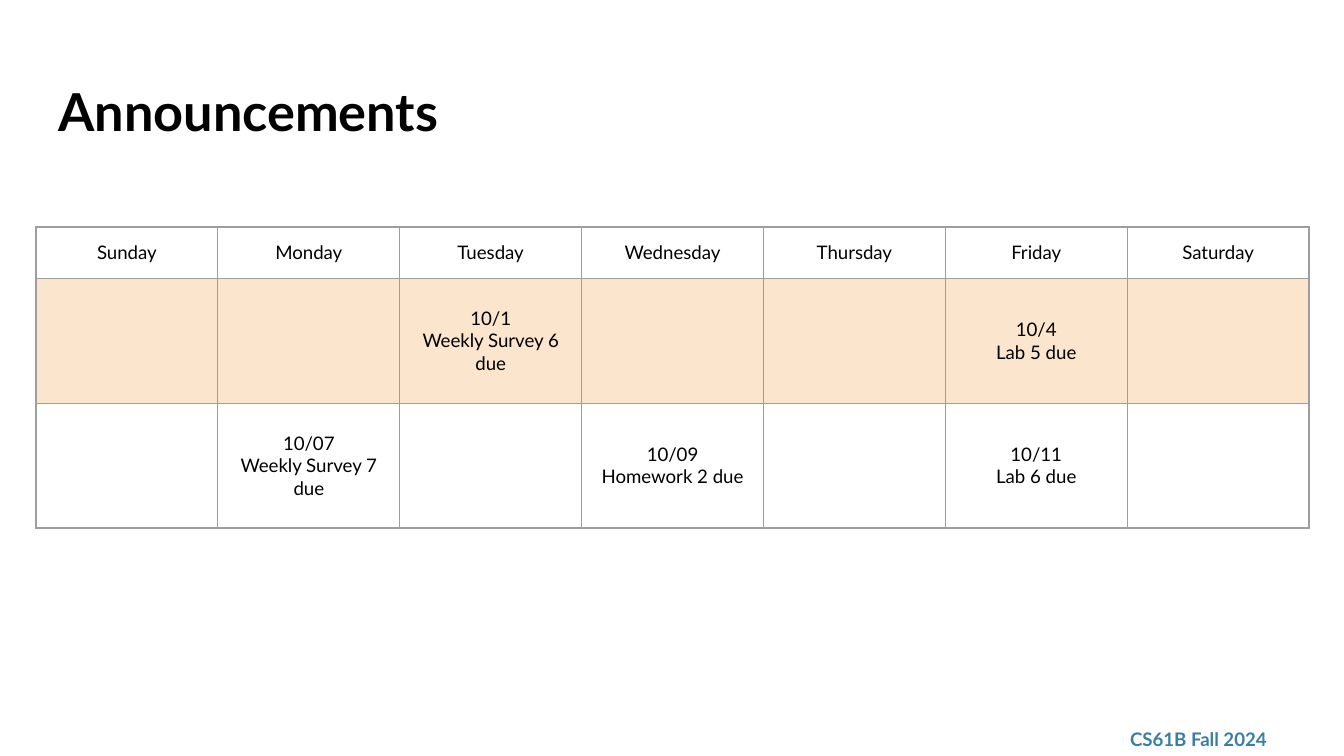
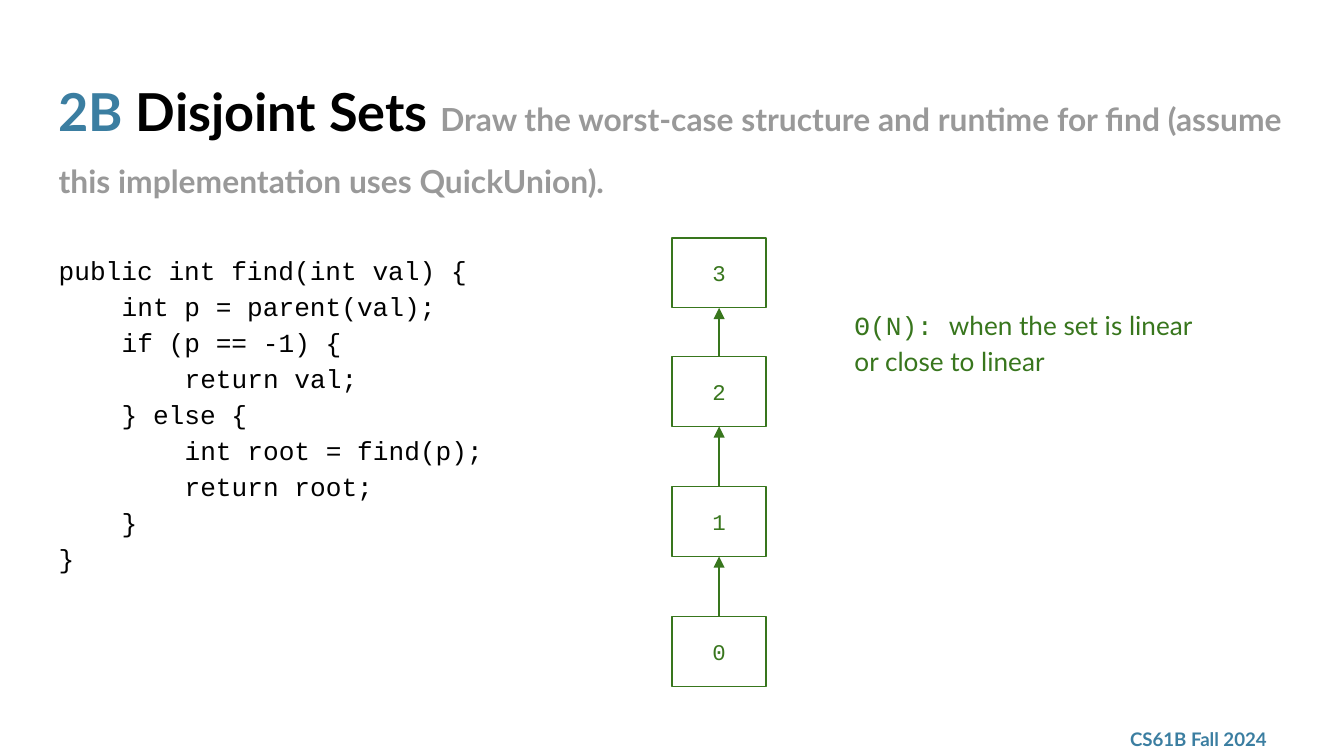
import pptx
import pptx.dml.color
import pptx.enum.shapes
import pptx.enum.text
import pptx.oxml.ns
import pptx.util
from lxml import etree

Cm = pptx.util.Cm
Pt = pptx.util.Pt
RGBColor = pptx.dml.color.RGBColor
CENTER = pptx.enum.text.PP_ALIGN.CENTER
MIDDLE = pptx.enum.text.MSO_ANCHOR.MIDDLE

BLACK = RGBColor(0x00, 0x00, 0x00)
WHITE = RGBColor(0xFF, 0xFF, 0xFF)
BLUE = RGBColor(0x3B, 0x7E, 0xA1)
GREEN = RGBColor(0x38, 0x76, 0x1D)
GRAY = RGBColor(0x99, 0x99, 0x99)
BORDER = RGBColor(0x9E, 0x9E, 0x9E)
PEACH = RGBColor(0xFC, 0xE5, 0xCD)

SANS = "Lato"
MONO = "Courier New"
LINE_WIDTH = Pt(0.75)
INSET = 0.25
CODE_INDENT = 1.19  # four characters of 14 pt code

# Boxes are left, top, width, height in centimetres
TITLE_BOX = (0.86, 1.24, 23.67, 1.6)
FOOTER_BOX = (21.11, 13.64, 3.43, 0.66)
CALENDAR_BOX = (0.68, 4.29, 24.06, 5.69)
CODE_BOX = (0.86, 4.47, 23.67, 9.5)
ANSWER_BOX = (15.9, 5.51, 7.34, 2.49)
CHAIN_BOX = (12.7, 4.5, 1.78, 8.48)

HEADER_HEIGHT = 0.97
WEEKDAYS = ["Sunday", "Monday", "Tuesday", "Wednesday",
            "Thursday", "Friday", "Saturday"]
WEEKS = [
    {"Tuesday": "10/1\nWeekly Survey 6 due", "Friday": "10/4\nLab 5 due"},
    {"Monday": "10/07\nWeekly Survey 7 due",
     "Wednesday": "10/09\nHomework 2 due", "Friday": "10/11\nLab 6 due"},
]

# Indent level and text of each line of code
CODE = [
    (0, "public int find(int val) {"),
    (1, "int p = parent(val);"),
    (1, "if (p == -1) {"),
    (2, "return val;"),
    (1, "} else {"),
    (2, "int root = find(p);"),
    (2, "return root;"),
    (1, "}"),
    (0, "}"),
]

NODE_HEIGHT = 1.32
NODES = [("3", 0), ("2", 2.24), ("1", 4.7), ("0", 7.16)]  # label, offset


def style_span(span, size, color, font=SANS, bold=False):
    span.font.name = font
    span.font.size = Pt(size)
    span.font.color.rgb = color
    span.font.bold = bold


def set_insets(frame):
    frame.word_wrap = True
    frame.margin_left = frame.margin_right = Cm(INSET)
    frame.margin_top = frame.margin_bottom = Cm(INSET)


def add_text(page, box, spans, line_spacing=1.0):
    """Add a text box with one paragraph of (text, style) spans."""
    frame = page.shapes.add_textbox(*map(Cm, box)).text_frame
    set_insets(frame)
    para = frame.paragraphs[0]
    para.line_spacing = line_spacing
    for text, style in spans:
        span = para.add_run()
        span.text = text
        style_span(span, **style)
    return frame


def add_page(deck, title_spans):
    """Add a page with the shared footer and title."""
    page = deck.slides.add_slide(deck.slide_layouts[6])
    footer = add_text(page, FOOTER_BOX, [
        ("CS61B Fall 2024", dict(size=10, color=BLUE, bold=True))])
    footer.vertical_anchor = MIDDLE
    add_text(page, TITLE_BOX, [
        (text, dict(size=size, color=color, bold=True))
        for text, size, color in title_spans])
    return page


def add_borders(cell):
    properties = cell._tc.get_or_add_tcPr()
    qn = pptx.oxml.ns.qn
    for side in ("a:lnL", "a:lnR", "a:lnT", "a:lnB"):
        line = etree.SubElement(properties, qn(side), w=str(int(LINE_WIDTH)))
        fill = etree.SubElement(line, qn("a:solidFill"))
        etree.SubElement(fill, qn("a:srgbClr"), val=str(BORDER))


def fill_cell(cell, text, fill):
    add_borders(cell)
    if fill is None:
        cell.fill.background()
    else:
        cell.fill.solid()
        cell.fill.fore_color.rgb = fill
    cell.vertical_anchor = MIDDLE
    cell.margin_left = cell.margin_right = Cm(0.13)
    cell.margin_top = cell.margin_bottom = Cm(0.13)
    cell.text_frame.text = text
    for para in cell.text_frame.paragraphs:
        para.alignment = CENTER
        for span in para.runs:
            style_span(span, 10, BLACK)


def add_calendar(page, box):
    left, top, width, height = box
    frame = page.shapes.add_table(len(WEEKS) + 1, len(WEEKDAYS),
                                  *map(Cm, box))
    table = frame.table
    table.first_row = table.horz_banding = False
    for column in table.columns:
        column.width = Cm(width / len(WEEKDAYS))
    week_height = (height - HEADER_HEIGHT) / len(WEEKS)
    heights = [HEADER_HEIGHT] + [week_height] * len(WEEKS)
    for row, row_height in zip(table.rows, heights):
        row.height = Cm(row_height)

    texts = [WEEKDAYS] + [[week.get(day, "") for day in WEEKDAYS]
                          for week in WEEKS]
    for row, (row_texts, fill) in enumerate(zip(texts, [None, PEACH, None])):
        for column, text in enumerate(row_texts):
            fill_cell(table.cell(row, column), text, fill)


def add_code(page, box):
    frame = page.shapes.add_textbox(*map(Cm, box)).text_frame
    set_insets(frame)
    frame.text = "\n".join(text for level, text in CODE)
    for para, (level, text) in zip(frame.paragraphs, CODE):
        para.line_spacing = 1.15
        para._p.get_or_add_pPr().set("marL", str(Cm(CODE_INDENT * level)))
        style_span(para.runs[0], 14, BLACK, MONO)


def add_node(page, box, label):
    node = page.shapes.add_shape(
        pptx.enum.shapes.MSO_SHAPE.RECTANGLE, *map(Cm, box))
    node.shadow.inherit = False
    node.fill.solid()
    node.fill.fore_color.rgb = WHITE
    node.line.color.rgb = GREEN
    node.line.width = LINE_WIDTH
    frame = node.text_frame
    set_insets(frame)
    frame.vertical_anchor = MIDDLE
    frame.text = label
    frame.paragraphs[0].alignment = CENTER
    style_span(frame.paragraphs[0].runs[0], 12, GREEN, MONO)
    return node


def add_arrow(page, child, parent):
    """Point from the top of the child to the bottom of its parent."""
    arrow = page.shapes.add_connector(
        pptx.enum.shapes.MSO_CONNECTOR.STRAIGHT, 0, 0, 0, 0)
    arrow.begin_connect(child, 0)
    arrow.end_connect(parent, 2)
    arrow.line.color.rgb = GREEN
    arrow.line.width = LINE_WIDTH
    qn = pptx.oxml.ns.qn
    etree.SubElement(arrow.line._get_or_add_ln(), qn("a:tailEnd"),
                     type="triangle")
    etree.SubElement(arrow._element.spPr, qn("a:effectLst"))


def add_chain(page, box):
    left, top, width, height = box
    nodes = [add_node(page, (left, top + offset, width, NODE_HEIGHT), label)
             for label, offset in NODES]
    for parent, child in zip(nodes, nodes[1:]):
        add_arrow(page, child, parent)


def build_announcements(deck):
    page = add_page(deck, [("Announcements", 28, BLACK)])
    add_calendar(page, CALENDAR_BOX)


def build_disjoint_sets(deck):
    page = add_page(deck, [
        ("2B ", 28, BLUE),
        ("Disjoint Sets ", 28, BLACK),
        ("Draw the worst-case structure and runtime for find "
         "(assume this implementation uses QuickUnion).", 17, GRAY),
        (" ", 28, BLACK),  # keeps the last line as tall as the first
    ])
    add_code(page, CODE_BOX)
    add_text(page, ANSWER_BOX, [
        ("Θ(N): ", dict(size=14, color=GREEN, font=MONO)),
        ("when the set is linear or close to linear",
         dict(size=14, color=GREEN)),
    ], line_spacing=1.15)
    add_chain(page, CHAIN_BOX)


def main():
    deck = pptx.Presentation()
    deck.slide_width = Cm(25.4)
    deck.slide_height = Cm(14.29)
    build_announcements(deck)
    build_disjoint_sets(deck)
    deck.save("out.pptx")


if __name__ == "__main__":
    main()
